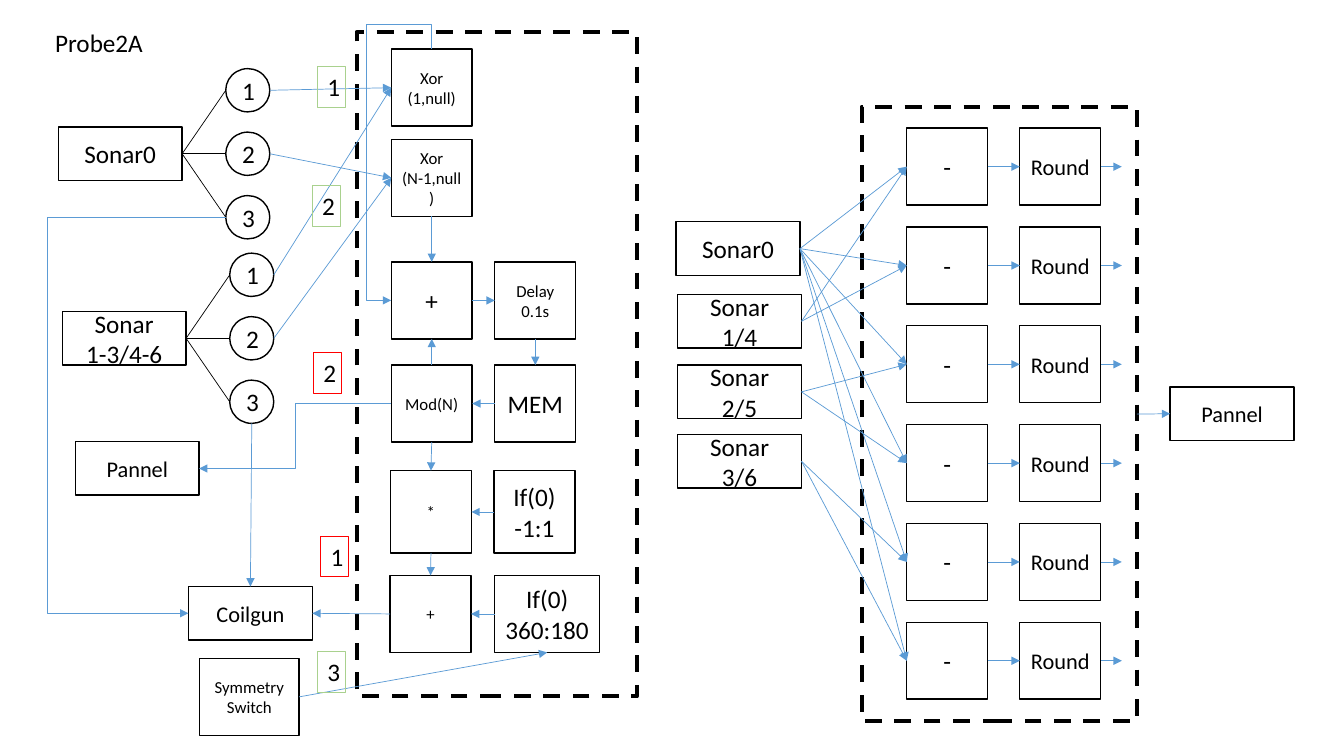
from dataclasses import dataclass
from pptx import Presentation
from pptx.dml.color import RGBColor
from pptx.enum.dml import MSO_LINE
from pptx.enum.shapes import MSO_CONNECTOR as CXN, MSO_SHAPE as SHAPE
from pptx.enum.text import MSO_ANCHOR as ANCHOR, PP_ALIGN as ALIGN
from pptx.oxml.ns import qn
from pptx.util import Cm, Pt
from lxml.etree import SubElement


@dataclass(frozen=True)
class Theme:
    font: str = "Calibri"
    ink: str = "000000"
    paper: str = "FFFFFF"
    arrow: str = "5B9BD5"
    red: str = "FF0000"
    green: str = "A9D18E"
    large: int = 18
    medium: int = 16
    small: int = 12
    thin: float = 0.5
    tag: float = 0.75
    edge: float = 1
    frame: float = 3


T = Theme()
TOP, LEFT, BOTTOM, RIGHT = range(4)

# Content; positions and sizes in cm
WIDE, BLOCK, TALL = (3.12, 1.35), (2.04, 1.94), (2.04, 2.08)
CIRCLE, TAG = (1.11, 1.09), (0.71, 1.03)
TITLE = ("Probe2A", (1.14, 0.56), (2.74, 1.02))
FRAMES = [("probe", (8.99, 0.81), (7.06, 16.74)),
          ("rounding", (21.72, 2.69), (6.93, 15.49))]
BOXES = [
    ("sonar0", "Sonar0", (1.47, 3.2), WIDE, T.large),
    ("sonars", "Sonar\n1-3/4-6", (1.57, 7.85), WIDE, T.large),
    ("panel", "Pannel", (1.9, 11.13), WIDE, T.medium),
    ("coilgun", "Coilgun", (4.75, 14.78), WIDE, T.medium),
    ("switch", "Symmetry\nSwitch", (5.03, 16.59), (2.51, 1.94), T.small),
    ("xor_first", "Xor\n(1,null)", (9.86, 1.24), BLOCK, T.small),
    ("xor_last", "Xor\n(N-1,null)", (9.86, 3.51), BLOCK, T.small),
    ("sum", "+", (9.86, 6.6), BLOCK, T.large),
    ("delay", "Delay\n0.1s", (12.47, 6.6), BLOCK, T.small),
    ("mod", "Mod(N)", (9.86, 9.2), BLOCK, T.small),
    ("mem", "MEM", (12.47, 9.2), BLOCK, T.large),
    ("times", "*", (9.84, 11.86), TALL, T.small),
    ("if_sign", "If(0)\n-1:1", (12.45, 11.86), TALL, T.large),
    ("offset", "+", (9.83, 14.5), BLOCK, T.small),
    ("if_angle", "If(0)\n360:180", (12.47, 14.5), (2.64, 1.94), T.large),
    ("in0", "Sonar0", (17.04, 5.59), WIDE, T.large),
    ("in1", "Sonar\n1/4", (17.08, 7.42), WIDE, T.large),
    ("in2", "Sonar\n2/5", (17.08, 9.2), WIDE, T.large),
    ("in3", "Sonar\n3/6", (17.08, 10.95), WIDE, T.large),
    ("out", "Pannel", (29.49, 9.75), WIDE, T.medium),
]
OUTPUTS = [("sonar0", (5.69, 1.73)), ("sonars", (5.79, 6.38))]
OUTPUT_STEP = 1.6
TAGS = [("1", (8.08, 13.51), T.red), ("2", (7.9, 8.89), T.red),
        ("1", (8.0, 1.68), T.green), ("2", (7.87, 4.67), T.green),
        ("3", (8.0, 16.41), T.green)]
ARROWS = [
    ("xor_last", BOTTOM, "sum", TOP), ("sum", RIGHT, "delay", LEFT),
    ("delay", BOTTOM, "mem", TOP), ("mem", LEFT, "mod", RIGHT),
    ("mod", TOP, "sum", BOTTOM), ("mod", BOTTOM, "times", TOP),
    ("if_sign", LEFT, "times", RIGHT), ("times", BOTTOM, "offset", TOP),
    ("if_angle", LEFT, "offset", RIGHT), ("offset", LEFT, "coilgun", RIGHT),
    ("switch", RIGHT, "if_angle", BOTTOM),
    ("sonar0.1", RIGHT, "xor_first", LEFT), ("sonar0.2", RIGHT, "xor_last", LEFT),
    ("sonars.1", RIGHT, "xor_first", LEFT), ("sonars.2", RIGHT, "xor_last", LEFT),
    ("sonars.3", BOTTOM, "coilgun", TOP), ("rounding", RIGHT, "out", LEFT),
]
# Inputs of each difference row on the right
ROWS = [("in0", "in1"), ("in0", "in1"), ("in0", "in2"),
        ("in0", "in2"), ("in0", "in3"), ("in0", "in3")]
MINUS_X, ROUND_X, EXIT_X, ROW_Y, ROW_STEP = 22.85, 25.7, 28.27, 3.23, 2.49

prs = Presentation()
prs.slide_width, prs.slide_height = Cm(33.87), Cm(19.05)
s = prs.slides.add_slide(prs.slide_layouts[6])
parts = {}


def color(value):
    return RGBColor.from_string(value)


def write(sp, text, size, align, anchor=ANCHOR.TOP, wrap=True):
    tf = sp.text_frame
    tf.word_wrap, tf.vertical_anchor = wrap, anchor
    tf.text = text
    for p in tf.paragraphs:
        p.alignment = align
        p.font.name, p.font.size = T.font, Pt(size)
        p.font.color.rgb = color(T.ink)


def outline(sp, value, width):
    sp.line.color.rgb, sp.line.width = color(value), Pt(width)


def add_box(key, text, at, size, pt=T.large, kind=SHAPE.RECTANGLE, width=T.edge):
    sp = s.shapes.add_shape(kind, *map(Cm, at + size))
    sp.shadow.inherit = False
    if kind == SHAPE.OVAL:
        sp.fill.solid()
        sp.fill.fore_color.rgb = color(T.paper)
    else:
        sp.fill.background()
    outline(sp, T.ink, width)
    if text:
        write(sp, text, pt, ALIGN.CENTER, ANCHOR.MIDDLE)
    parts[key] = sp
    return sp


def port(key, side):
    sp = parts[key]
    mid_x, mid_y = sp.left + sp.width // 2, sp.top + sp.height // 2
    return [(mid_x, sp.top), (sp.left, mid_y),
            (mid_x, sp.top + sp.height), (sp.left + sp.width, mid_y)][side]


def add_line(begin, end, value=T.arrow, head=True, kind=CXN.STRAIGHT):
    c = s.shapes.add_connector(kind, *map(int, begin + end))
    outline(c, value, T.thin)
    if head:
        SubElement(c.line._get_or_add_ln(), qn("a:tailEnd"), type="triangle")
    SubElement(c._element.spPr, qn("a:effectLst"))
    return c


def join(start, start_side, stop, stop_side, **style):
    c = add_line(port(start, start_side), port(stop, stop_side), **style)
    if parts[start].auto_shape_type == SHAPE.RECTANGLE:
        c.begin_connect(parts[start], start_side)
    if parts[stop].auto_shape_type == SHAPE.RECTANGLE:
        c.end_connect(parts[stop], stop_side)


def add_elbow(begin, end, bends, preset="bentConnector3", turn=0):
    c = add_line(begin, end, kind=CXN.ELBOW)
    geom = c._element.spPr.find(qn("a:prstGeom"))
    geom.set("prst", preset)
    guides = geom.find(qn("a:avLst"))
    for i, bend in enumerate(bends, 1):
        SubElement(guides, qn("a:gd"), name=f"adj{i}", fmla=f"val {round(bend * 100000)}")
    if turn:
        c._element.spPr.find(qn("a:xfrm")).set("rot", str(turn * 60000))


# Title, frames and boxes
text, at, size = TITLE
write(s.shapes.add_textbox(*map(Cm, at + size)), text, T.large, ALIGN.LEFT, wrap=False)
for key, at, size in FRAMES:
    add_box(key, "", at, size, width=T.frame).line.dash_style = MSO_LINE.DASH
for box in BOXES:
    add_box(*box)

# Numbered sonar outputs
for sonar, (x, y) in OUTPUTS:
    for i in range(3):
        key = f"{sonar}.{i + 1}"
        add_box(key, str(i + 1), (x, y + i * OUTPUT_STEP), CIRCLE, kind=SHAPE.OVAL)
        join(sonar, RIGHT, key, LEFT, value=T.ink, head=False)

# Difference and rounding rows
for i, inputs in enumerate(ROWS):
    y = ROW_Y + i * ROW_STEP
    minus, rounded = f"minus{i}", f"round{i}"
    add_box(minus, "-", (MINUS_X, y), BLOCK)
    add_box(rounded, "Round", (ROUND_X, y), BLOCK, T.medium)
    for source in inputs:
        join(source, RIGHT, minus, LEFT)
    join(minus, RIGHT, rounded, LEFT)
    exit_from = port(rounded, RIGHT)
    add_line(exit_from, (Cm(EXIT_X), exit_from[1]))

# Arrows, straight then bent
for arrow in ARROWS:
    join(*arrow)
add_elbow(port("sonar0.3", LEFT), port("coilgun", LEFT), [4.77])
add_elbow(port("mod", LEFT), port("panel", RIGHT), [0.5])

# Feedback from the first Xor: a quarter-turned elbow about its centre
(x1, y1), (x2, y2) = port("xor_first", TOP), port("sum", LEFT)
mid_x, mid_y = (x1 + x2) / 2, (y1 + y2) / 2
half_w, half_h = (y2 - y1) / 2, (x1 - x2) / 2
add_elbow((mid_x + half_w, mid_y + half_h), (mid_x - half_w, mid_y - half_h),
          [-0.1, 1.62], "bentConnector4", 270)

# Numbered tags
for text, at, value in TAGS:
    tag = s.shapes.add_textbox(*map(Cm, at + TAG))
    outline(tag, value, T.tag)
    write(tag, text, T.large, ALIGN.LEFT)

prs.save("out.pptx")
